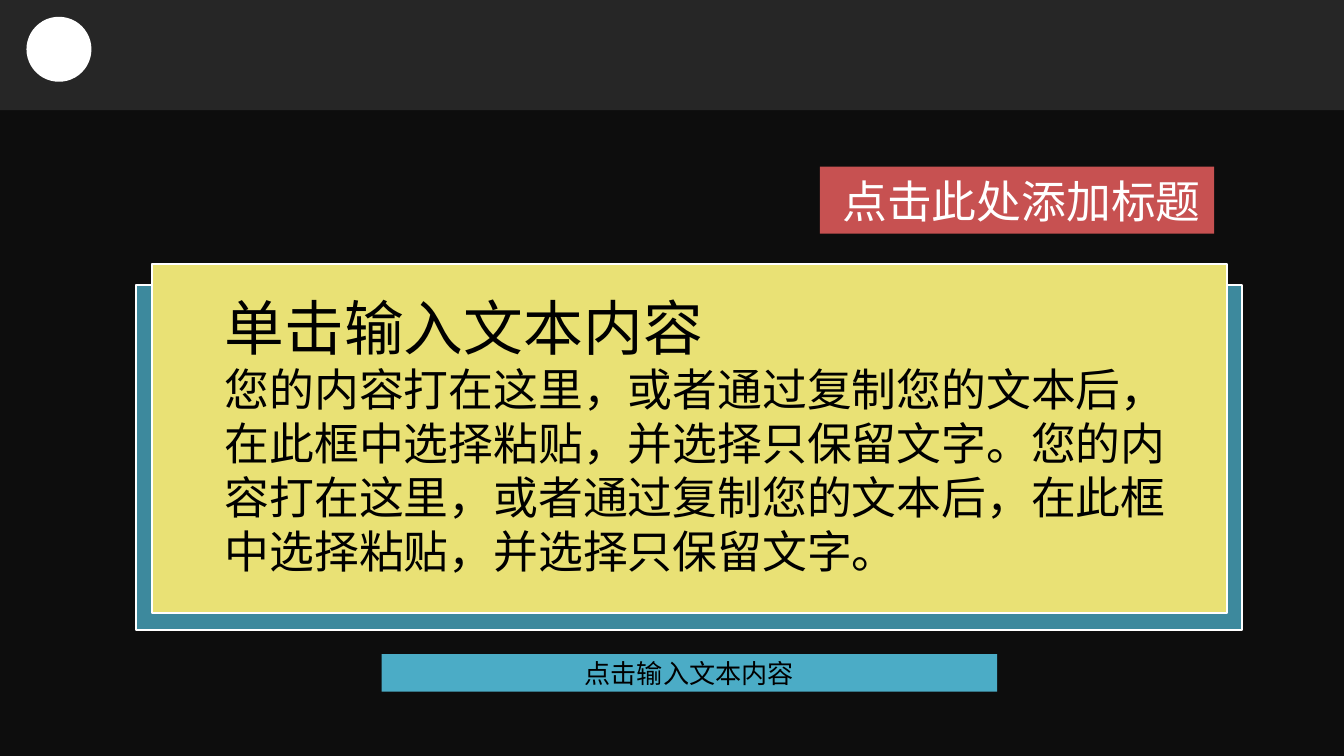
from lxml import etree
from pptx import Presentation
from pptx.dml.color import RGBColor
from pptx.enum.shapes import MSO_SHAPE
from pptx.enum.text import MSO_ANCHOR, MSO_AUTO_SIZE, PP_ALIGN
from pptx.oxml.ns import qn
from pptx.util import Pt

RECTANGLE, OVAL = MSO_SHAPE.RECTANGLE, MSO_SHAPE.OVAL
LEFT, CENTER, RIGHT = PP_ALIGN.LEFT, PP_ALIGN.CENTER, PP_ALIGN.RIGHT
TOP, MIDDLE = MSO_ANCHOR.TOP, MSO_ANCHOR.MIDDLE
FIXED = MSO_AUTO_SIZE.NONE

TITLE = "点击此处添加标题"
HEADING = "单击输入文本内容"
SENTENCE = "您的内容打在这里，或者通过复制您的文本后，在此框中选择粘贴，并选择只保留文字。"
CAPTION = "点击输入文本内容"

THEME = {
    "font": "Noto Sans CJK SC",
    "background": "0D0D0D", "band": "262626", "title": "C75151",
    "accent": "4BACC6", "panel": "E9E175", "light": "FFFFFF", "dark": "000000",
    "title_size": 24, "heading_size": 32, "body_size": 24, "caption_size": 14,
}

# left, top, width, height in points
SLIDE_WIDTH, SLIDE_HEIGHT = 720, 405
BAND = (0, 0, SLIDE_WIDTH, 59)
BAND_DOT = (14.2, 9, 34.8, 34.8)
TITLE_BOX = (439.2, 89.2, 211.2, 36)
BACK_PANEL = (72.8, 152.8, 592.6, 185)
FRONT_PANEL = (81.4, 141.4, 576, 187.2)
BODY_BOX = (113.2, 152, 530.6, 190)
CAPTION_BAR = (204.4, 350.4, 329.8, 20.1)


def color(name):
    return RGBColor.from_string(THEME[name])


def place(shape, box):
    shape.left, shape.top, shape.width, shape.height = map(Pt, box)


def add_block(slide, preset, box, fill, outlined=False):
    block = slide.shapes.add_shape(preset, *map(Pt, box))
    block.shadow.inherit = False
    block.fill.solid()
    block.fill.fore_color.rgb = color(fill)
    if outlined:
        block.line.color.rgb = color("light")
        block.line.width = Pt(1)
    else:
        block.line.fill.background()
    return block


def set_opacity(shape, percent):
    rgb = shape.fill._xPr.find(".//" + qn("a:srgbClr"))
    etree.SubElement(rgb, qn("a:alpha")).set("val", str(percent * 1000))


def write(shape, lines, ink, align=LEFT, anchor=MIDDLE, wrap=True):
    """Fill a shape with (text, size name) lines."""
    frame = shape.text_frame
    frame.text = "\n".join(text for text, _ in lines)
    frame.auto_size = FIXED
    frame.word_wrap = wrap
    frame.vertical_anchor = anchor
    frame.margin_left = frame.margin_right = Pt(7.2)
    frame.margin_top = frame.margin_bottom = Pt(3.6)
    for paragraph, (_, size) in zip(frame.paragraphs, lines):
        paragraph.alignment = align
        paragraph.space_before = Pt(0)
        properties = paragraph._p.get_or_add_pPr()
        properties.set("marL", "0")
        properties.set("indent", "0")
        etree.SubElement(properties, qn("a:buNone"))
        for run in paragraph.runs:
            run.font.name = THEME["font"]
            run.font.size = Pt(THEME[size])
            run.font.color.rgb = color(ink)
            east_asian = etree.SubElement(run.font._element, qn("a:ea"))
            east_asian.set("typeface", THEME["font"])


def main():
    deck = Presentation()
    deck.slide_width, deck.slide_height = Pt(SLIDE_WIDTH), Pt(SLIDE_HEIGHT)
    slide = deck.slides.add_slide(deck.slide_layouts[1])
    slide.background.fill.solid()
    slide.background.fill.fore_color.rgb = color("background")

    add_block(slide, RECTANGLE, BAND, "band")
    add_block(slide, OVAL, BAND_DOT, "light")

    title = slide.shapes.title
    place(title, TITLE_BOX)
    title.fill.solid()
    title.fill.fore_color.rgb = color("title")
    write(title, [(TITLE, "title_size")], "light", RIGHT, wrap=False)

    caption = add_block(slide, RECTANGLE, CAPTION_BAR, "accent")
    write(caption, [(CAPTION, "caption_size")], "dark", CENTER)

    set_opacity(add_block(slide, RECTANGLE, BACK_PANEL, "accent", True), 78)
    add_block(slide, RECTANGLE, FRONT_PANEL, "panel", True)

    body = slide.placeholders[1]
    place(body, BODY_BOX)
    write(body, [(HEADING, "heading_size"), (SENTENCE * 2, "body_size")],
          "dark", anchor=TOP)
    slide.shapes._spTree.append(body._element)  # bring in front of the panels

    deck.save("out.pptx")


if __name__ == "__main__":
    main()
